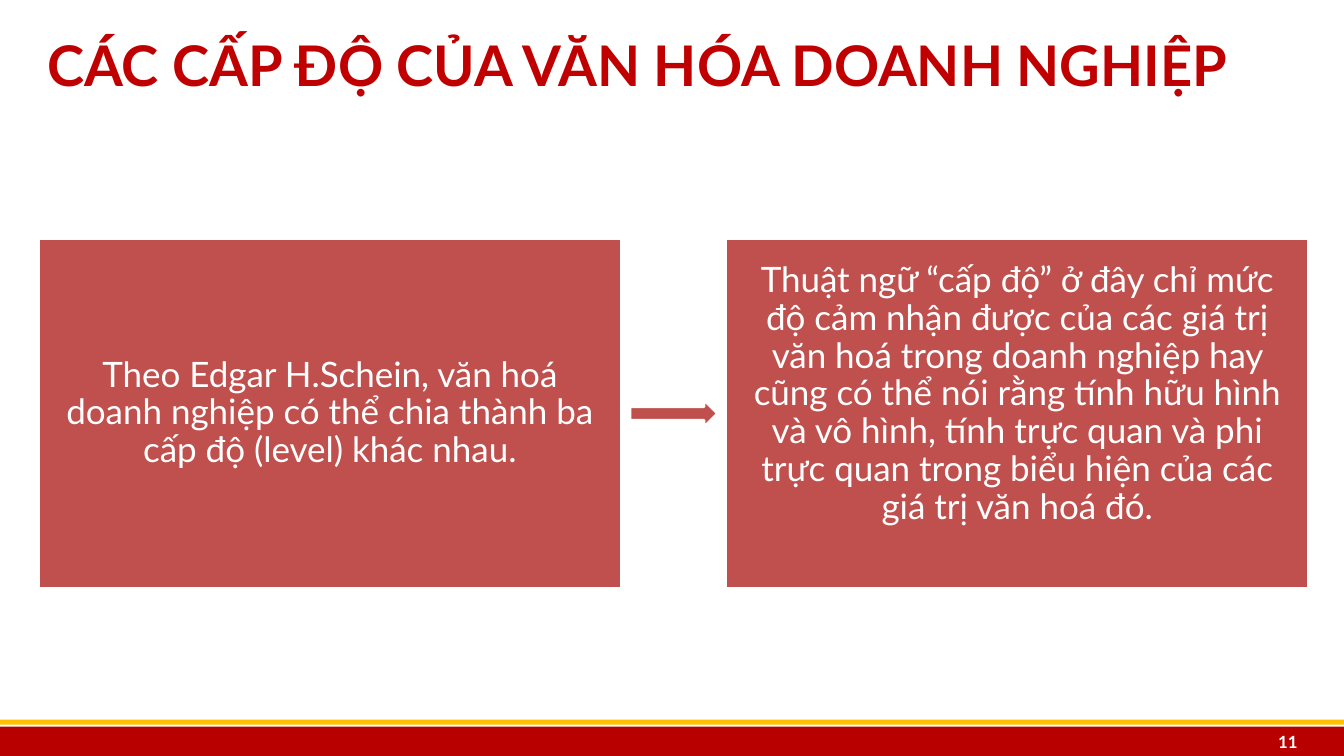
import pptx
import pptx.util
import pptx.dml.color
import pptx.enum.shapes
import pptx.enum.text

Pt = pptx.util.Pt
SHAPE = pptx.enum.shapes.MSO_SHAPE
ALIGN = pptx.enum.text.PP_ALIGN
MIDDLE = pptx.enum.text.MSO_ANCHOR.MIDDLE
RED = "C0504D"
WHITE = "FFFFFF"


def color(value):
    return pptx.dml.color.RGBColor.from_string(value)


def add_block(kind, left, top, width, height, fill, outlined=False):
    sp = s.shapes.add_shape(kind, Pt(left), Pt(top), Pt(width), Pt(height))
    sp.shadow.inherit = False
    sp.fill.solid()
    sp.fill.fore_color.rgb = color(fill)
    if outlined:
        sp.line.color.rgb = color(WHITE)
        sp.line.width = Pt(2)
    else:
        sp.line.fill.background()
    return sp


prs = pptx.Presentation()
prs.slide_width, prs.slide_height = Pt(960), Pt(540)
s = prs.slides.add_slide(prs.slide_layouts.get_by_name("Title Only"))

# Footer bands
add_block(SHAPE.RECTANGLE, 0, 519, 960, 21, "B80000")
add_block(SHAPE.RECTANGLE, 0, 514, 960, 3.6, "FFC000")

# Title
title = s.shapes.title
title.left, title.top, title.width, title.height = Pt(26.6), Pt(3.6), Pt(907), Pt(85)
tf = title.text_frame
tf.text = "CÁC CẤP ĐỘ CỦA VĂN HÓA DOANH NGHIỆP"
tf.vertical_anchor = MIDDLE
tf.auto_size = pptx.enum.text.MSO_AUTO_SIZE.NONE
p = tf.paragraphs[0]
p.alignment = ALIGN.LEFT
p.font.name, p.font.size, p.font.bold = "Lato", Pt(40), True
p.font.color.rgb = color("C00000")

# Slide number
number = s.shapes.add_textbox(Pt(871), Pt(519), Pt(63), Pt(22))
tf = number.text_frame
tf.word_wrap = True
tf.text = "11"
tf.margin_top = tf.margin_bottom = 0
tf.vertical_anchor = MIDDLE
p = tf.paragraphs[0]
p.alignment = ALIGN.RIGHT
p.font.name, p.font.size, p.font.bold = "Lato", Pt(12), True
p.font.color.rgb = color(WHITE)

# Two statements; the second sits one line higher through its bottom inset
statements = [
    ("Theo Edgar H.Schein, văn hoá doanh nghiệp có thể chia thành ba cấp độ (level) "
     "khác nhau.", 12),
    ("Thuật ngữ “cấp độ” ở đây chỉ mức độ cảm nhận được của các giá trị văn hoá "
     "trong doanh nghiệp hay cũng có thể nói rằng tính hữu hình và vô hình, tính "
     "trực quan và phi trực quan trong biểu hiện của các giá trị văn hoá đó.", 39),
]
for i, (text, bottom_inset) in enumerate(statements):
    box = add_block(SHAPE.RECTANGLE, 27.6 + i * 491, 170.6, 416, 249.6, RED, True)
    tf = box.text_frame
    tf.word_wrap = True
    tf.text = text
    tf.vertical_anchor = MIDDLE
    tf.margin_left = tf.margin_right = tf.margin_top = Pt(12)
    tf.margin_bottom = Pt(bottom_inset)
    p = tf.paragraphs[0]
    p.alignment = ALIGN.CENTER
    p.line_spacing = 0.9
    p.font.name, p.font.size = "Lato", Pt(25)
    p.font.color.rgb = color(WHITE)

# Arrow from the first statement to the second
add_block(SHAPE.RIGHT_ARROW, 450, 285.7, 62.6, 19.4, RED, True)

prs.save("out.pptx")
